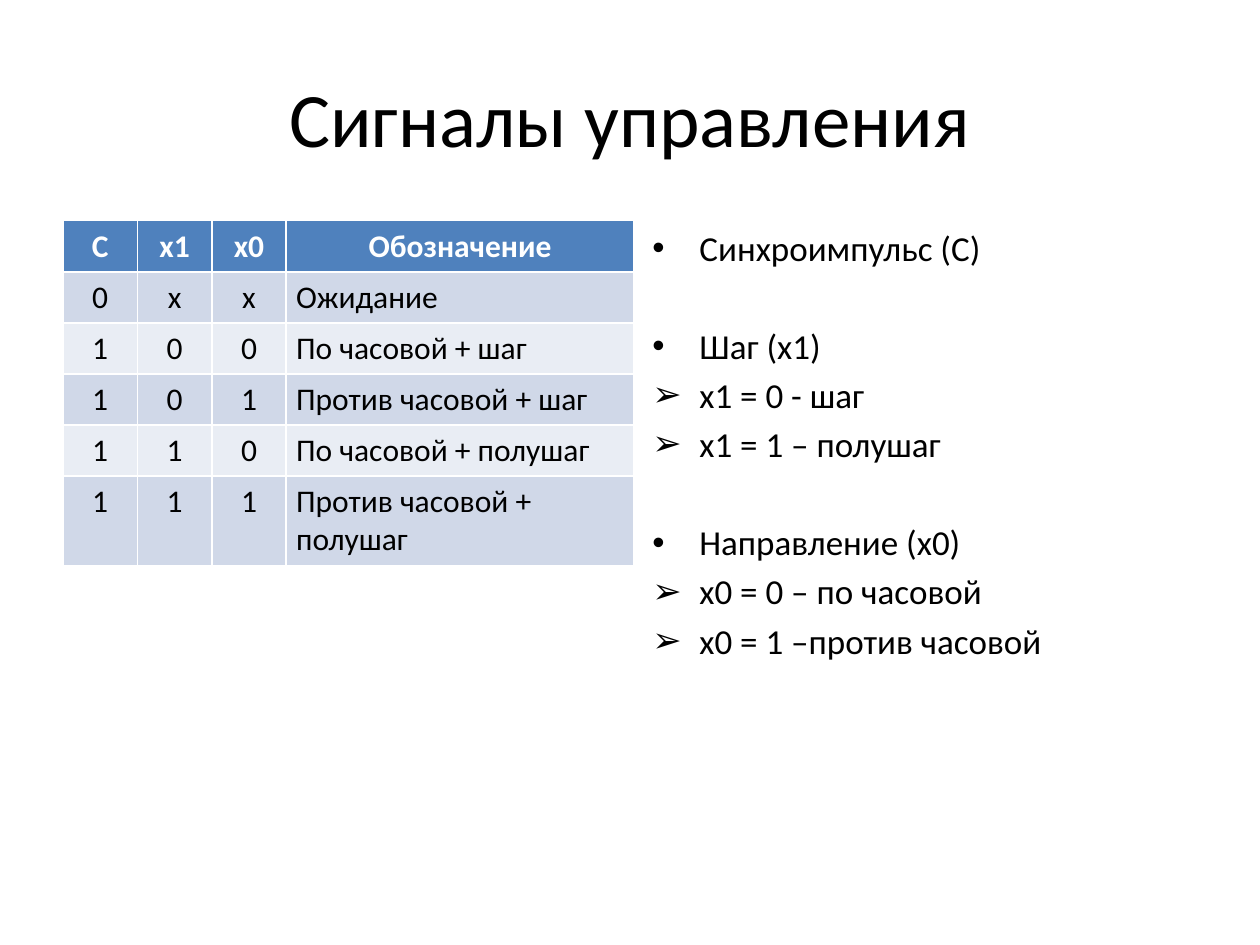
from lxml import etree
from pptx import Presentation
from pptx.dml.color import RGBColor
from pptx.enum.text import MSO_ANCHOR, PP_ALIGN
from pptx.oxml.ns import qn
from pptx.util import Cm, Pt

CENTER, LEFT = PP_ALIGN.CENTER, PP_ALIGN.LEFT
MIDDLE = MSO_ANCHOR.MIDDLE
TITLE_ONLY = 5
BLACK, WHITE = "000000", "FFFFFF"
HEADER_FILL, BAND_FILLS = "4F81BD", ("E9EDF4", "D0D8E8")


def color(value):
    return RGBColor.from_string(value)


def format_paragraph(paragraph, size, text_color=BLACK, alignment=LEFT, bold=False):
    paragraph.alignment = alignment
    paragraph.font.name = "Calibri"
    paragraph.font.size = Pt(size)
    paragraph.font.bold = bold
    paragraph.font.color.rgb = color(text_color)


presentation = Presentation()
presentation.slide_width, presentation.slide_height = Cm(25.4), Cm(19.05)
slide = presentation.slides.add_slide(presentation.slide_layouts[TITLE_ONLY])

title = slide.shapes.title
title.left, title.top, title.width, title.height = Cm(1.27), Cm(0.76), Cm(22.86), Cm(3.18)
title.text_frame.text = "Сигналы управления"
title.text_frame.vertical_anchor = MIDDLE
format_paragraph(title.text_frame.paragraphs[0], 44, alignment=CENTER)

signal_rows = [
    ("C", "x1", "x0", "Обозначение"),
    ("0", "x", "x", "Ожидание"),
    ("1", "0", "0", "По часовой + шаг"),
    ("1", "0", "1", "Против часовой + шаг"),
    ("1", "1", "0", "По часовой + полушаг"),
    ("1", "1", "1", "Против часовой + полушаг"),
]
column_widths = [1.5, 1.5, 1.5, 7.01]
row_heights = [1.03] * 5 + [1.78]
table = slide.shapes.add_table(
    len(signal_rows), len(column_widths), Cm(1.27), Cm(4.45),
    Cm(sum(column_widths)), Cm(sum(row_heights))).table
for column, width in zip(table.columns, column_widths):
    column.width = Cm(width)
for row_index, values in enumerate(signal_rows):
    table.rows[row_index].height = Cm(row_heights[row_index])
    is_header = row_index == 0
    for column_index, value in enumerate(values):
        cell = table.cell(row_index, column_index)
        cell.text = value
        cell.margin_left = cell.margin_right = Cm(0.2)
        cell.fill.solid()
        cell.fill.fore_color.rgb = color(HEADER_FILL if is_header else BAND_FILLS[row_index % 2])
        format_paragraph(
            cell.text_frame.paragraphs[0], 18, WHITE if is_header else BLACK,
            CENTER if is_header or column_index < 3 else LEFT, is_header)

line_pitch = 28
signal_groups = [
    ("Синхроимпульс (C)", []),
    ("Шаг (x1)", ["x1 = 0 - шаг", "x1 = 1 – полушаг"]),
    ("Направление (x0)", ["x0 = 0 – по часовой", "x0 = 1 –против часовой"]),
]
description = slide.shapes.add_textbox(Cm(12.9), Cm(4.45), Cm(11.23), Cm(12.57)).text_frame
description.word_wrap = True
for group_index, (heading, options) in enumerate(signal_groups):
    for line_index, text in enumerate([heading] + options):
        starts_group = line_index == 0
        is_first = starts_group and group_index == 0
        paragraph = description.paragraphs[0] if is_first else description.add_paragraph()
        paragraph.text = text
        format_paragraph(paragraph, 20)
        paragraph.space_before = Pt(4 + line_pitch if starts_group and not is_first else 4)
        properties = paragraph._p.get_or_add_pPr()
        properties.set("marL", str(Cm(0.95)))
        properties.set("indent", str(-Cm(0.95)))
        bullet_font = etree.Element(qn("a:buFont"), typeface="Arial")
        bullet = etree.Element(qn("a:buChar"), char="•" if starts_group else "➢")
        default_font = properties.find(qn("a:defRPr"))
        default_font.addprevious(bullet_font)
        default_font.addprevious(bullet)

presentation.save("out.pptx")
